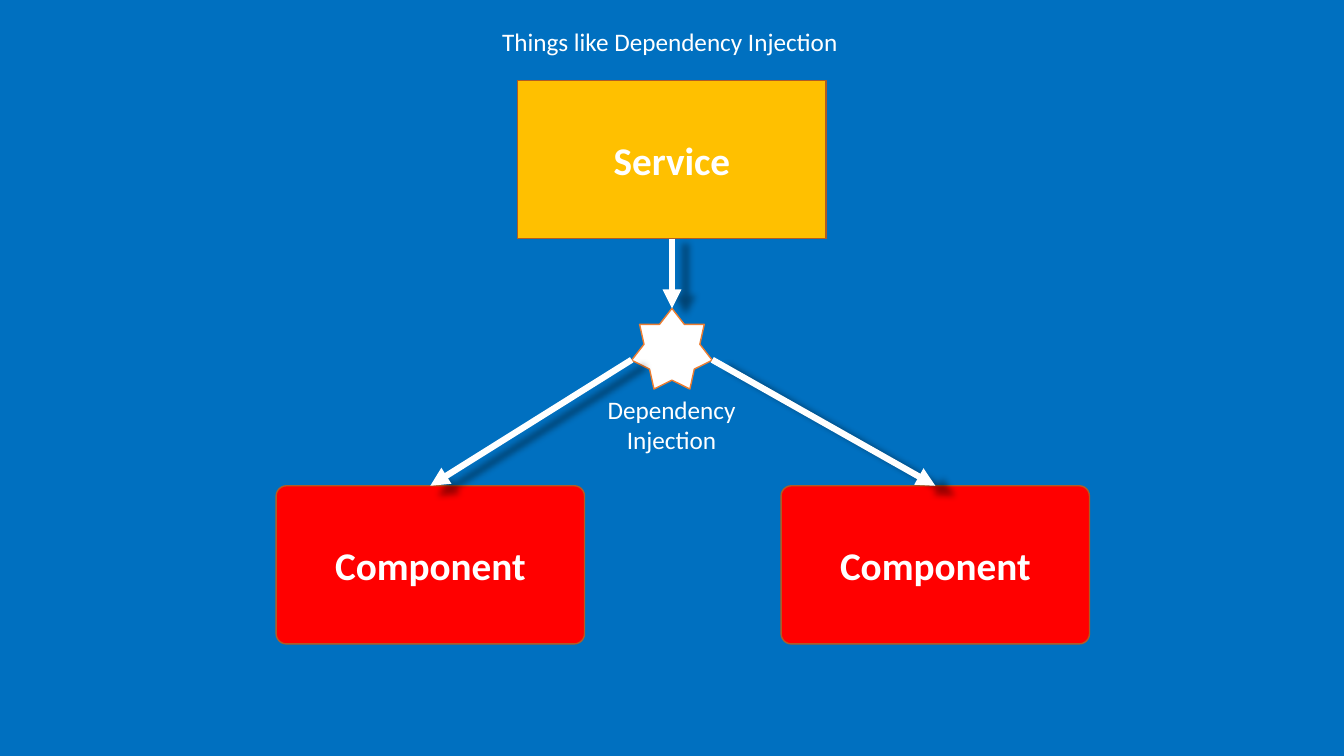
from lxml import etree
from pptx import Presentation
from pptx.dml.color import RGBColor
from pptx.enum import shapes, text
from pptx.oxml import ns
from pptx.util import Pt

BLUE = RGBColor(0x00, 0x70, 0xC0)
RED = RGBColor(0xFF, 0x00, 0x00)
GOLD = RGBColor(0xFF, 0xC0, 0x00)
WHITE = RGBColor(0xFF, 0xFF, 0xFF)
BROWN = RGBColor(0xAF, 0x5C, 0x24)
ORANGE = RGBColor(0xED, 0x7D, 0x31)

# Layout in points
PAGE_WIDTH, PAGE_HEIGHT = 960, 540
CENTER = PAGE_WIDTH / 2
BOX_WIDTH, BOX_HEIGHT = 220.3, 113
SERVICE_TOP, COMPONENT_TOP = 57.6, 347
COMPONENT_CENTERS = (307.4, 668.1)
STAR_TOP, STAR_SIZE = 220.3, 57.6
STAR_TIP_Y = 257


def write(shape, words, align, **font):
    para = shape.text_frame.paragraphs[0]
    para.alignment = align
    span = para.add_run()
    span.text = words
    span.font.color.rgb = WHITE
    for name, value in {"name": "Calibri", "size": Pt(18), **font}.items():
        setattr(span.font, name, value)


def add_filled(page, kind, center, top, width, height, fill, line):
    shape = page.shapes.add_shape(
        kind, Pt(center - width / 2), Pt(top), Pt(width), Pt(height))
    shape.shadow.inherit = False
    shape.fill.solid()
    shape.fill.fore_color.rgb = fill
    shape.line.color.rgb = line
    shape.line.width = Pt(1)
    return shape


def add_box(page, words, center, top, fill, radius):
    box = add_filled(page, shapes.MSO_SHAPE.ROUNDED_RECTANGLE, center, top,
                     BOX_WIDTH, BOX_HEIGHT, fill, BROWN)
    box.adjustments[0] = radius
    box.text_frame.vertical_anchor = text.MSO_ANCHOR.MIDDLE
    write(box, words, text.PP_ALIGN.CENTER, size=Pt(28), bold=True)


def add_arrow(page, start, end):
    arrow = page.shapes.add_connector(
        shapes.MSO_CONNECTOR.STRAIGHT, *map(Pt, start + end))
    arrow.line.color.rgb = WHITE
    arrow.line.width = Pt(4.5)
    # Arrowhead
    properties = arrow.element.spPr
    line = properties.find(ns.qn("a:ln"))
    etree.SubElement(line, ns.qn("a:tailEnd"), type="triangle")
    # Soft shadow, slightly larger than the arrow
    effects = etree.SubElement(properties, ns.qn("a:effectLst"))
    shadow = etree.SubElement(
        effects, ns.qn("a:outerShdw"), blurRad=str(Pt(5)),
        sx="102000", sy="102000", algn="ctr", rotWithShape="0")
    color = etree.SubElement(shadow, ns.qn("a:prstClr"), val="black")
    etree.SubElement(color, ns.qn("a:alpha"), val="40000")


def format_frame(shape, place, wrap):
    for name, value in zip(("left", "top", "width", "height"), place):
        setattr(shape, name, Pt(value))
    settings = {"word_wrap": wrap, "vertical_anchor": text.MSO_ANCHOR.TOP,
                "auto_size": text.MSO_AUTO_SIZE.SHAPE_TO_FIT_TEXT}
    for name, value in settings.items():
        setattr(shape.text_frame, name, value)


def main():
    deck = Presentation()
    deck.slide_width, deck.slide_height = Pt(PAGE_WIDTH), Pt(PAGE_HEIGHT)
    page = deck.slides.add_slide(deck.slide_layouts.get_by_name("Title Only"))
    page.background.fill.solid()
    page.background.fill.fore_color.rgb = BLUE

    # Title
    title = page.shapes.title
    format_frame(title, (351.4, 15.1, 257, 28.8), False)
    write(title, "Things like Dependency Injection", text.PP_ALIGN.LEFT)

    # Service, components and the star between them
    for center in COMPONENT_CENTERS:
        add_box(page, "Component", center, COMPONENT_TOP, RED, 0.065)
    add_box(page, "Service", CENTER, SERVICE_TOP, GOLD, 0)
    add_filled(page, shapes.MSO_SHAPE.STAR_7_POINT, CENTER, STAR_TOP,
               STAR_SIZE, STAR_SIZE, WHITE, ORANGE)

    # Arrows
    add_arrow(page, (CENTER, SERVICE_TOP + BOX_HEIGHT), (CENTER, STAR_TOP))
    for side, center in zip((-1, 1), COMPONENT_CENTERS):
        add_arrow(page, (CENTER + side * STAR_SIZE / 2, STAR_TIP_Y),
                  (center, COMPONENT_TOP))

    # Star caption
    caption = page.shapes.add_textbox(0, 0, 0, 0)
    format_frame(caption, (426.4, 277.9, 106.6, 50.9), True)
    write(caption, "Dependency Injection", text.PP_ALIGN.CENTER)

    deck.save("out.pptx")


if __name__ == "__main__":
    main()
